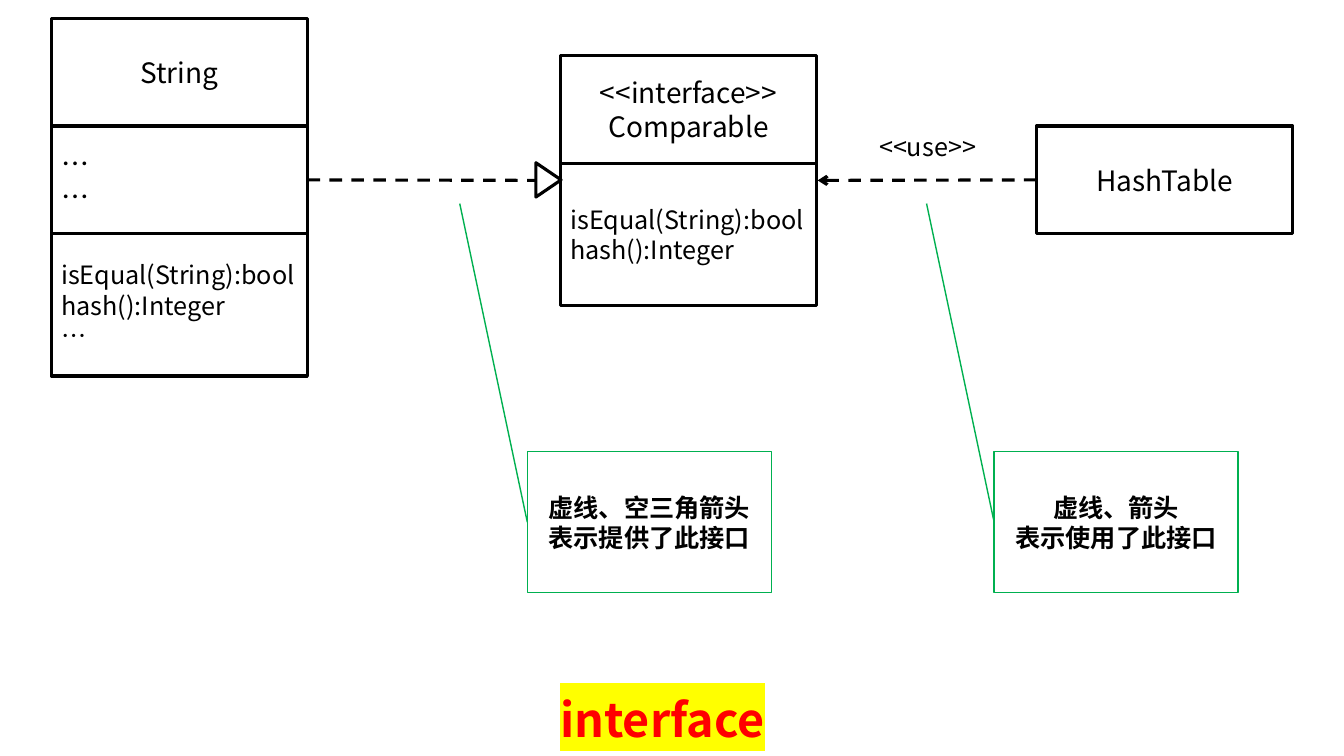
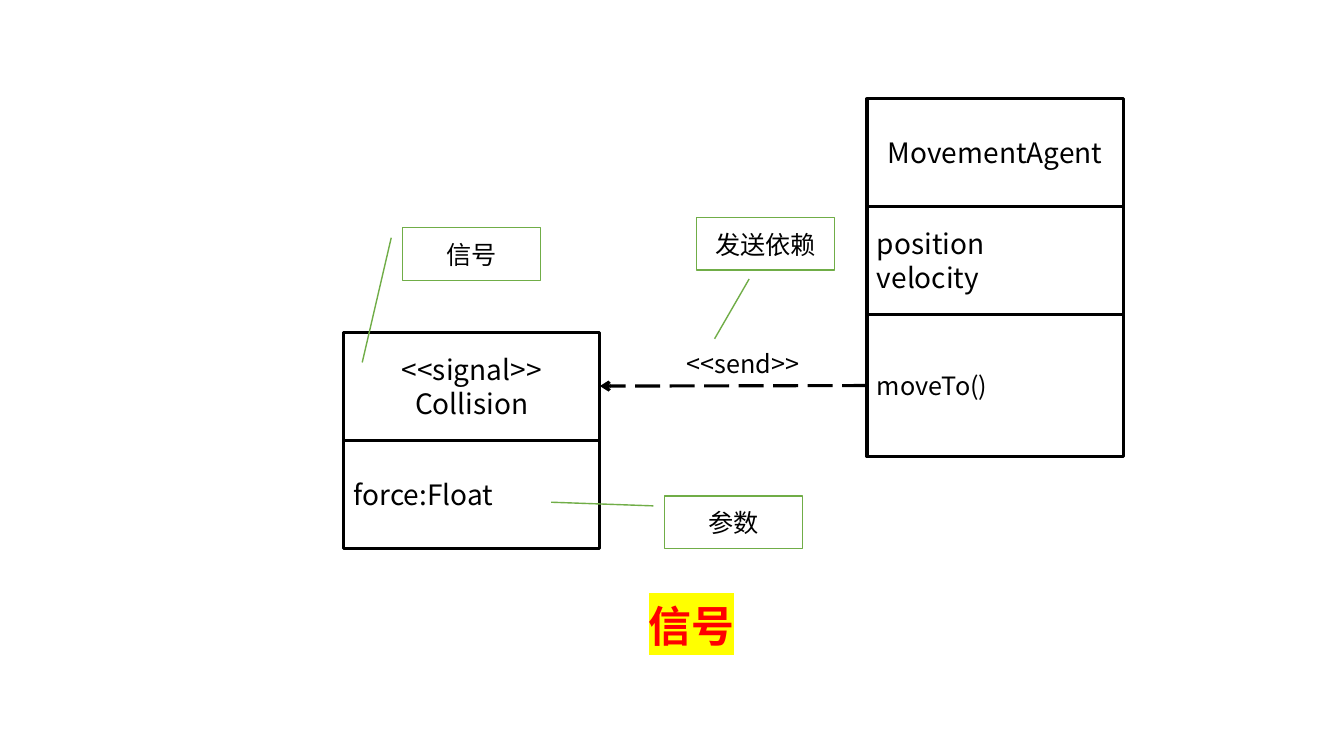
from dataclasses import dataclass

from lxml.etree import SubElement
from pptx import Presentation
from pptx.dml.color import RGBColor
from pptx.enum.dml import MSO_LINE
from pptx.enum.shapes import MSO_CONNECTOR, MSO_SHAPE
from pptx.enum.text import MSO_ANCHOR, MSO_AUTO_SIZE, PP_ALIGN
from pptx.oxml.ns import qn
from pptx.util import Inches, Pt

FONT = "Noto Sans CJK SC"
BLACK = RGBColor(0x00, 0x00, 0x00)
WHITE = RGBColor(0xFF, 0xFF, 0xFF)
RED = RGBColor(0xFF, 0x00, 0x00)
YELLOW = RGBColor(0xFF, 0xFF, 0x00)
NOTE_GREEN = RGBColor(0x00, 0xB0, 0x50)
CALLOUT_GREEN = RGBColor(0x70, 0xAD, 0x47)

CLASS_W, ROW_H, METHODS_H = 2.54, 1.07, 1.41
NOTE_W, NOTE_H = 2.42, 1.4
CALLOUT_W, CALLOUT_H = 1.37, 0.52
LEFT, RIGHT = 1, 3  # connection sites of a rectangle


@dataclass
class Section:
    """One compartment of a class box."""
    lines: list[str]
    size: float = 20
    height: float = ROW_H
    align: PP_ALIGN = PP_ALIGN.LEFT


@dataclass
class Note:
    x: float
    y: float
    lines: list[str]
    target: tuple[float, float]


@dataclass
class Callout:
    x: float
    y: float
    text: str
    adjustments: tuple[float, float, float, float]


def title_section(*lines: str) -> Section:
    return Section(list(lines), align=PP_ALIGN.CENTER)


def methods_section(*lines: str) -> Section:
    return Section(list(lines), 18, METHODS_H)


# Text and shapes
def write(tf, lines: list[str], size: float, align=PP_ALIGN.CENTER,
          color: RGBColor = BLACK, bold: bool = False) -> None:
    for i, line in enumerate(lines):
        p = tf.paragraphs[0] if i == 0 else tf.add_paragraph()
        p.alignment = align
        p.add_run().text = line
        font = p.font
        font.name, font.size, font.bold = FONT, Pt(size), bold
        font.color.rgb = color
        SubElement(font._element, qn("a:ea"), typeface=FONT)


def add_box(s, x: float, y: float, w: float, h: float, color: RGBColor, width: float,
            kind=MSO_SHAPE.RECTANGLE, fill: RGBColor | None = None):
    sp = s.shapes.add_shape(kind, Inches(x), Inches(y), Inches(w), Inches(h))
    sp.shadow.inherit = False
    if fill is None:
        sp.fill.background()
    else:
        sp.fill.solid()
        sp.fill.fore_color.rgb = fill
    sp.line.color.rgb = color
    sp.line.width = Pt(width)
    sp.text_frame.word_wrap = True
    sp.text_frame.vertical_anchor = MSO_ANCHOR.MIDDLE
    return sp


def add_class(s, x: float, y: float, sections: list[Section]) -> list:
    boxes = []
    for sec in sections:
        sp = add_box(s, x, y, CLASS_W, sec.height, BLACK, 2.25)
        write(sp.text_frame, sec.lines, sec.size, sec.align)
        boxes.append(sp)
        y += sec.height
    return boxes


# Lines
def add_line(s, box, site: int, end: tuple[float, float], color: RGBColor,
             width: float, dash=None, arrow: bool = False) -> None:
    x, y = Inches(end[0]), Inches(end[1])
    line = s.shapes.add_connector(MSO_CONNECTOR.STRAIGHT, x, y, x, y)
    line.begin_connect(box, site)
    line.line.color.rgb = color
    line.line.width = Pt(width)
    if dash is not None:
        line.line.dash_style = dash
    if arrow:
        SubElement(line.line._get_or_add_ln(), qn("a:tailEnd"), type="arrow")
    SubElement(line._element.spPr, qn("a:effectLst"))


# Labels and captions
def add_stereotype(s, x: float, y: float, w: float, text: str) -> None:
    tf = s.shapes.add_textbox(Inches(x), Inches(y), Inches(w), Inches(0.4)).text_frame
    tf.word_wrap = False
    tf.auto_size = MSO_AUTO_SIZE.SHAPE_TO_FIT_TEXT
    write(tf, [text], 18, PP_ALIGN.LEFT)


def add_caption(s, x: float, y: float, text: str, size: float,
                spacing: float | None = None) -> None:
    tf = s.shapes.add_textbox(Inches(x), Inches(y), Inches(3.06), Inches(0.54)).text_frame
    tf.word_wrap = True
    tf.vertical_anchor = MSO_ANCHOR.BOTTOM
    write(tf, [text], size, color=RED, bold=True)
    p = tf.paragraphs[0]
    p.line_spacing = spacing
    highlight = SubElement(p.runs[0]._r.get_or_add_rPr(), qn("a:highlight"))
    SubElement(highlight, qn("a:srgbClr"), val=str(YELLOW))


def add_note(s, note: Note) -> None:
    sp = add_box(s, note.x, note.y, NOTE_W, NOTE_H, NOTE_GREEN, 1)
    write(sp.text_frame, note.lines, 18, bold=True)
    add_line(s, sp, LEFT, note.target, NOTE_GREEN, 1)


def add_callout(s, callout: Callout) -> None:
    sp = add_box(s, callout.x, callout.y, CALLOUT_W, CALLOUT_H, CALLOUT_GREEN, 1,
                 MSO_SHAPE.LINE_CALLOUT_1, WHITE)
    for i, value in enumerate(callout.adjustments):
        sp.adjustments[i] = value
    write(sp.text_frame, [callout.text], 18)


def interface_slide(s) -> None:
    # Classes
    add_class(s, 5.56, 0.55, [
        title_section("<<interface>>", "Comparable"),
        methods_section("isEqual(String):bool", "hash():Integer"),
    ])
    string_boxes = add_class(s, 0.51, 0.18, [
        title_section("String"),
        Section(["…", "…"]),
        methods_section("isEqual(String):bool", "hash():Integer", "…"),
    ])
    hash_table = add_class(s, 10.28, 1.25, [title_section("HashTable")])[0]

    # Relations
    add_line(s, hash_table, LEFT, (8.11, 1.79), BLACK, 2.25, MSO_LINE.DASH, arrow=True)
    add_stereotype(s, 8.62, 1.25, 1.25, "<<use>>")
    add_line(s, string_boxes[1], RIGHT, (5.56, 1.79), BLACK, 2.25, MSO_LINE.DASH)
    triangle = add_box(s, 5.27, 1.66, 0.34, 0.25, BLACK, 2.25,
                       MSO_SHAPE.ISOSCELES_TRIANGLE, WHITE)
    triangle.rotation = 90

    # Caption and notes
    add_caption(s, 5.04, 6.9, "interface", 33.3, 0.7)
    for note in (
        Note(5.23, 4.48, ["虚线、空三角箭头", "表示提供了此接口"], (4.56, 2.02)),
        Note(9.86, 4.48, ["虚线、箭头", "表示使用了此接口"], (9.19, 2.02)),
    ):
        add_note(s, note)


def signal_slide(s) -> None:
    # Classes
    add_class(s, 3.41, 3.3, [
        title_section("<<signal>>", "Collision"),
        Section(["force:Float"]),
    ])
    agent_boxes = add_class(s, 8.6, 0.98, [
        title_section("MovementAgent"),
        Section(["position", "velocity"]),
        methods_section("moveTo()"),
    ])

    # Relation
    add_line(s, agent_boxes[2], LEFT, (5.95, 3.83), BLACK, 2.25,
             MSO_LINE.LONG_DASH, arrow=True)
    add_stereotype(s, 6.71, 3.41, 1.39, "<<send>>")

    # Callouts and caption
    for callout in (
        Callout(3.99, 2.26, "信号", (0.19, -0.08, 2.57, -0.29)),
        Callout(6.59, 4.92, "参数", (0.19, -0.08, 0.12, -0.82)),
        Callout(6.91, 2.16, "发送依赖", (1.17, 0.38, 2.31, 0.13)),
    ):
        add_callout(s, callout)
    add_caption(s, 5.33, 5.97, "信号", 30.6)


def main() -> None:
    prs = Presentation()
    prs.slide_width, prs.slide_height = Inches(13.33), Inches(7.5)
    for build in (interface_slide, signal_slide):
        build(prs.slides.add_slide(prs.slide_layouts[6]))
    prs.save("out.pptx")


if __name__ == "__main__":
    main()
